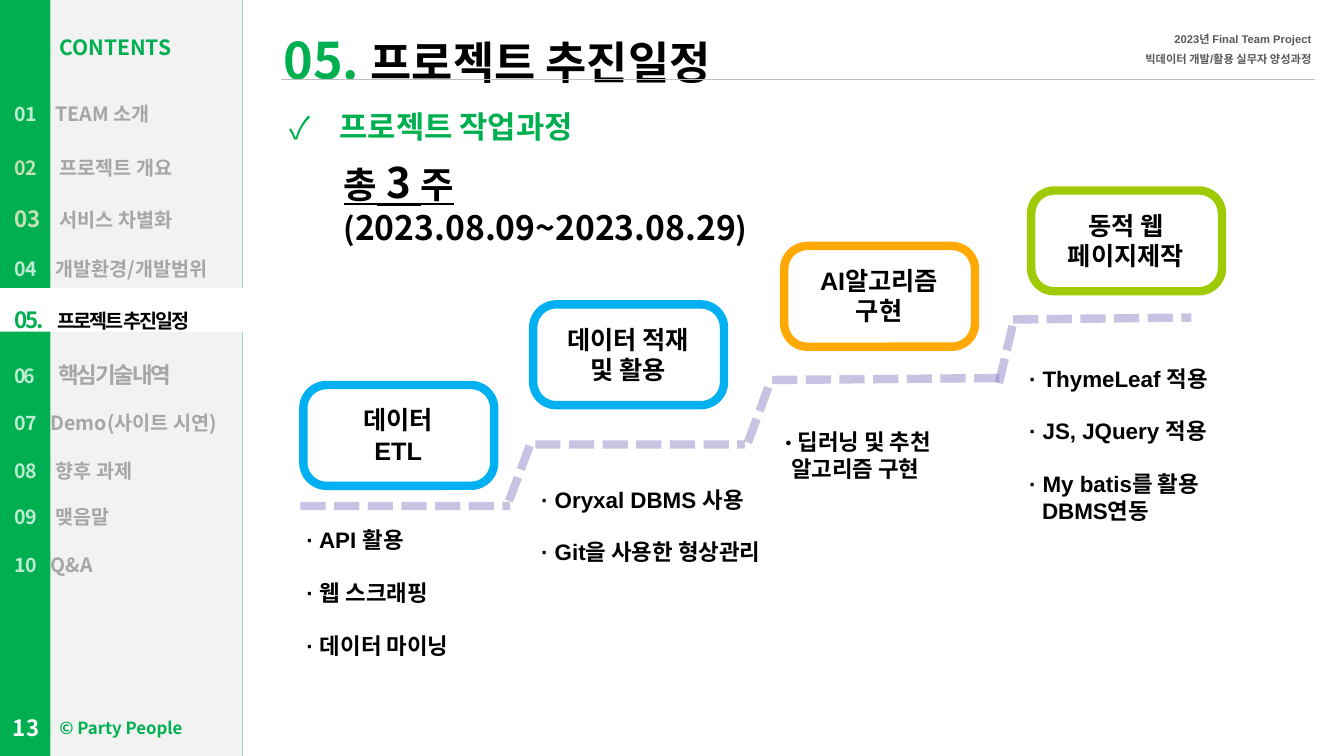
from pptx import Presentation
from pptx.dml.color import RGBColor
from pptx.enum.dml import MSO_LINE
from pptx.enum.shapes import MSO_CONNECTOR, MSO_SHAPE
from pptx.enum.text import MSO_ANCHOR, MSO_AUTO_SIZE, PP_ALIGN
from pptx.oxml.ns import qn
from pptx.util import Inches, Pt
from lxml.etree import SubElement

deck = Presentation()
deck.slide_width, deck.slide_height = Inches(13.33), Inches(7.5)
COL, ROW = deck.slide_width / 40, deck.slide_height / 30
SANS = "Noto Sans CJK KR"
GREEN, MINT, LEAF, GRAY, BLACK = "00B050", "BDEBD2", "C5E0B4", "A6A6A6", "000000"
slide = deck.slides.add_slide(deck.slide_layouts[5])
shapes = slide.shapes
color = RGBColor.from_string


def grid(x, y, w, h):
    return [round(n * unit) for n, unit in zip((x, y, w, h), (COL, ROW, COL, ROW))]


def write(frame, lines, frame_format={}, line_format={}):
    for key, value in {"word_wrap": True, "auto_size": MSO_AUTO_SIZE.NONE, **frame_format}.items():
        setattr(frame, key, value)
    for number, runs in enumerate(lines):
        line = frame.paragraphs[0] if number == 0 else frame.add_paragraph()
        for key, value in line_format.items():
            if key != "space_before" or number:
                setattr(line, key, value)
        for words, size, ink, extra in runs:
            look = {"size": Pt(size), "name": SANS, "bold": True, **extra}
            spacing = look.pop("spacing", None)
            for part_number, part in enumerate(words.split("\n")):
                if part_number:
                    line.add_line_break()
                run = line.add_run()
                run.text = part
                for key, value in look.items():
                    setattr(run.font, key, value)
                run.font.color.rgb = color(ink)
                if spacing:
                    run.font._element.set("spc", str(spacing))
    return frame.paragraphs


arial = {"name": "Arial"}
underlined = {"underline": True}

for area, ink in (
    ((0, 0, 7.23, 30), GREEN),
    ((1.5, 0, 5.72, 30), "F2F2F2"),
    ((0, 11.44, 8.28, 1.72), "FFFFFF"),
):
    panel = shapes.add_shape(MSO_SHAPE.RECTANGLE, *grid(*area))
    panel.shadow.inherit = False
    panel.fill.solid()
    panel.fill.fore_color.rgb = color(ink)
    panel.line.fill.background()

rule = shapes.add_connector(MSO_CONNECTOR.STRAIGHT, *grid(8.37, 3.16, 39.15, 3.16))
rule.line.color.rgb = color("BFBFBF")
rule.line.width = Pt(0.5)
SubElement(rule._element.spPr, qn("a:effectLst"))

heading = shapes.title
heading.left, heading.top, heading.width, heading.height = grid(7.83, 0.16, 31.8, 1.72)
write(
    heading.text_frame,
    [[("05. ", 36, GREEN, {}), ("프로젝트 추진일정", 32, BLACK, {})]],
    {
        "vertical_anchor": MSO_ANCHOR.MIDDLE,
        "margin_left": Inches(0.2),
        "margin_top": Inches(0.31),
        "margin_right": Inches(0.16),
        "margin_bottom": Inches(0.24),
    },
    {"line_spacing": 2.0, "alignment": PP_ALIGN.LEFT},
)

right = {"alignment": PP_ALIGN.RIGHT}
for area, lines, frame_format, line_format in (
    ((1.44, 28.28, 4.29, 1.2), [[("© Party People", 12, GREEN, {})]], {"word_wrap": False}, right),
    (
        (33.18, 0.8, 6.15, 1.92),
        [[(words, 8, "595959", arial)] for words in ("2023년 Final Team Project", "빅데이터 개발/활용 실무자 양성과정")],
        {"word_wrap": False},
        {**right, "line_spacing": 1.5},
    ),
    ((1.47, 0.68, 4.38, 1.92), [[("CONTENTS", 15, GREEN, {})]], {}, {"line_spacing": 1.5}),
    ((0.09, 28.08, 1.68, 1.6), [[("13", 16, "FFFFFF", {})]], {"vertical_anchor": MSO_ANCHOR.MIDDLE}, {}),
):
    write(shapes.add_textbox(*grid(*area)).text_frame, lines, frame_format, line_format)

period = shapes.add_textbox(*grid(9.93, 6, 16.59, 2.44)).text_frame
write(
    period,
    [[
        ("총", 26, BLACK, underlined),
        (" 3 ", 30, BLACK, underlined),
        ("주", 26, BLACK, underlined),
    ], [
        ("(", 22, BLACK, {}),
        ("2023.08.09~2023.08.29", 24, BLACK, {}),
        (")", 22, BLACK, {}),
    ]],
)

subtitle = shapes.add_textbox(*grid(8.31, 4.08, 30.57, 1.88)).text_frame
subtitle_format = subtitle.paragraphs[0]._p.get_or_add_pPr()
subtitle_format.set("marL", str(Inches(0.5)))
subtitle_format.set("indent", str(-Inches(0.5)))
SubElement(subtitle_format, qn("a:buFont")).set("typeface", SANS)
SubElement(subtitle_format, qn("a:buChar")).set("char", "✓")
write(subtitle, [[("프로젝트 작업과정", 22, GREEN, {})]])

tight = {"spacing": -150}
contents = [
    ("01", 14, MINT, "TEAM 소개", 14, GRAY, {}, 0.41, 42.5),
    ("02", 14, LEAF, "프로젝트 개요", 14, GRAY, {}, 0.45, 39),
    ("03", 16, LEAF, "서비스 차별화", 14, GRAY, {}, 0.45, 37.5),
    ("04", 14, MINT, "개발환경/개발범위", 14, GRAY, {}, 0.41, 34.5),
    ("05.", 16, GREEN, "프로젝트 추진일정", 14, BLACK, tight, 0.43, 37.5),
    ("06", 14, MINT, "핵심기술내역", 16, GRAY, tight, 0.44, 39),
    ("07", 14, MINT, "Demo(사이트 시연)", 14, GRAY, {}, 0.36, 33.5),
    ("08", 14, MINT, "향후 과제", 14, GRAY, {}, 0.41, 34),
    ("09", 14, MINT, "맺음말", 14, GRAY, {}, 0.41, 33.5),
    ("10", 14, MINT, "Q&A", 14, GRAY, {}, 0.36, 34),
]
menu = shapes.add_textbox(*grid(0, 2.6, 7.47, 19.2)).text_frame
menu_lines = write(
    menu,
    [
        [(number + "\t", number_size, number_ink, extra), (topic, size, ink, extra)]
        for number, number_size, number_ink, topic, size, ink, extra, _, _ in contents
    ],
    {"margin_left": Inches(0.14), "margin_top": 0, "margin_right": 0, "margin_bottom": 0},
)
for line, (*_, tab, pitch) in zip(menu_lines, contents):
    line.line_spacing = Pt(pitch)
    stop = SubElement(SubElement(line._p.get_or_add_pPr(), qn("a:tabLst")), qn("a:tab"))
    stop.set("pos", str(Inches(tab)))
    stop.set("algn", "l")

stair = [
    (8.94, 20.08, 15.18, 20.08),
    (15.15, 19.88, 15.78, 17.64),
    (15.93, 17.64, 22.17, 17.64),
    (22.26, 17.56, 22.89, 15.28),
    (22.98, 15.08, 29.88, 15),
    (29.73, 15.2, 30.18, 12.68),
    (30.15, 12.68, 35.46, 12.6),
]
for ends in stair:
    step = shapes.add_connector(MSO_CONNECTOR.STRAIGHT, *grid(*ends))
    step.line.color.rgb = color("897DC1")
    step.line.width = Pt(6)
    step.line.dash_style = MSO_LINE.SQUARE_DOT
    ink = step._element.spPr.find(".//" + qn("a:srgbClr"))
    SubElement(ink, qn("a:alpha")).set("val", "45000")
    SubElement(step._element.spPr, qn("a:effectLst"))

stages = [
    (9.03, 15.28, "00B0F0", ["데이터", "ETL"], (8.82, 20.68, 6.66, 8.48),
     ["API 활용", "웹 스크래핑", "데이터 마이닝"], 16, "Arial", 0.14),
    (15.87, 12.08, "00B0F0", ["데이터 적재 및 활용"], (15.81, 19.08, 7.89, 6.2),
     ["Oryxal DBMS 사용", "Git을 사용한 형상관리"], 16, "Arial", 0.14),
    (23.34, 9.76, "FFA902", ["AI알고리즘", "구현"], (23.07, 16.68, 7.08, 2.72),
     ["딥러닝 및 추천\n알고리즘 구현"], 18, "Calibri", 0.06),
    (30.69, 7.56, "9ECA06", ["동적 웹", "페이지제작"], (30.33, 14.28, 6.66, 9.6),
     ["ThymeLeaf 적용", "JS, JQuery 적용", "My batis를 활용\nDBMS연동"], 16, "Arial", 0.13),
]
for x, y, ink, label, notes_area, notes, dot_size, dot_font, hang in stages:
    card = shapes.add_shape(MSO_SHAPE.ROUNDED_RECTANGLE, *grid(x, y, 5.68, 4))
    card.adjustments[0] = 0.23
    card.shadow.inherit = False
    card.fill.background()
    card.line.color.rgb = color(ink)
    card.line.width = Pt(6)
    write(
        shapes.add_textbox(*grid(x + 0.42, y + 0.58, 4.8, 2.84)).text_frame,
        [[(words, 18, BLACK, arial)] for words in label],
        {},
        {"alignment": PP_ALIGN.CENTER},
    )
    note_lines = write(
        shapes.add_textbox(*grid(*notes_area)).text_frame,
        [[("· ", dot_size, BLACK, {"name": dot_font}), (note, 16, BLACK, arial)] for note in notes],
        {},
        {"space_before": Pt(18.5)},
    )
    for line in note_lines:
        line_properties = line._p.get_or_add_pPr()
        line_properties.set("marL", str(Inches(hang)))
        line_properties.set("indent", str(-Inches(hang)))

deck.save("out.pptx")
